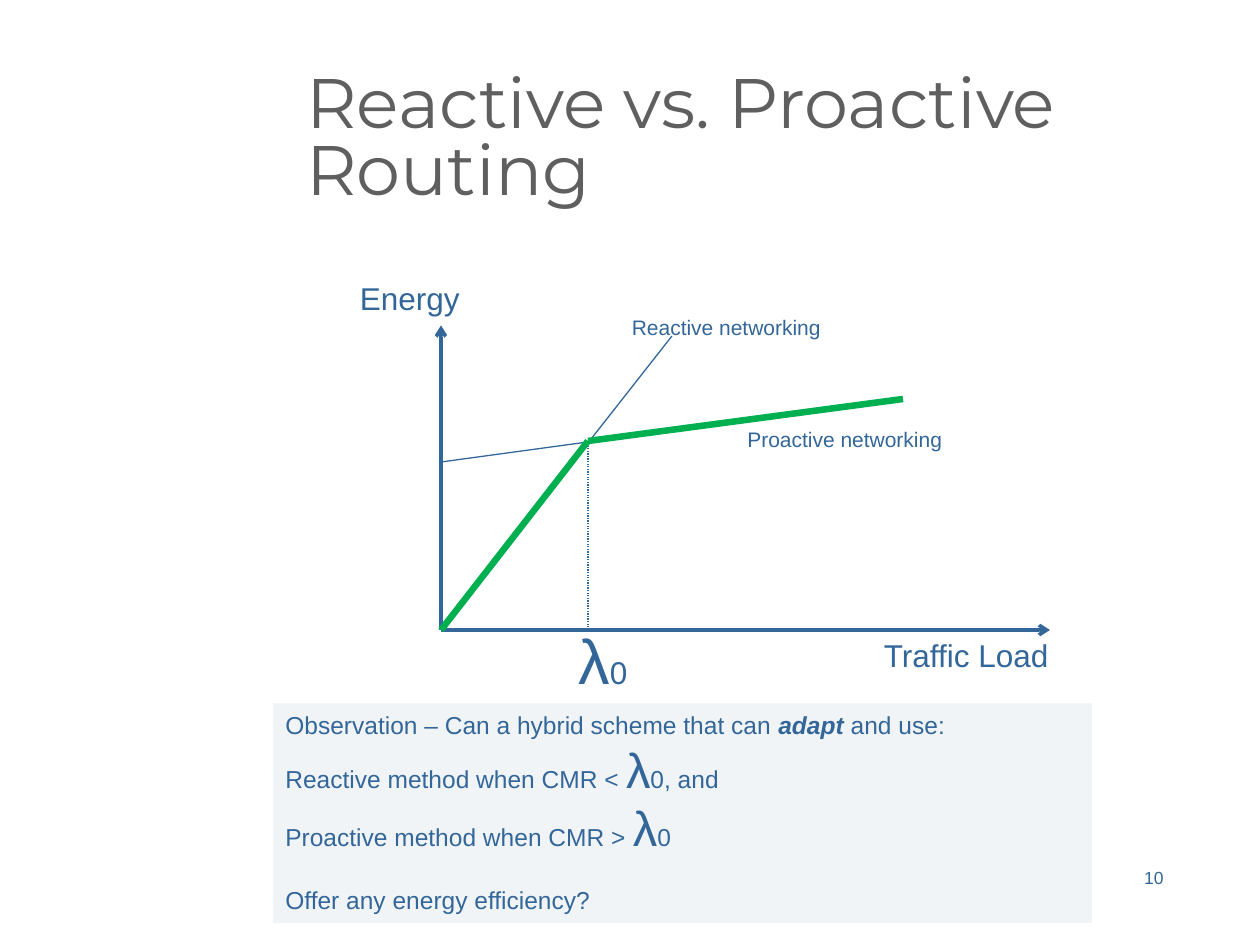
from dataclasses import dataclass
from typing import NamedTuple, Optional

from lxml import etree
from pptx import Presentation
from pptx.dml.color import RGBColor
from pptx.enum.dml import MSO_LINE
from pptx.enum.shapes import MSO_CONNECTOR, MSO_SHAPE
from pptx.enum.text import MSO_ANCHOR, PP_ALIGN
from pptx.oxml.ns import qn
from pptx.util import Inches, Pt

STRAIGHT = MSO_CONNECTOR.STRAIGHT
RECTANGLE = MSO_SHAPE.RECTANGLE
DOTTED = MSO_LINE.ROUND_DOT
LEFT, RIGHT = PP_ALIGN.LEFT, PP_ALIGN.RIGHT
TOP, MIDDLE = MSO_ANCHOR.TOP, MSO_ANCHOR.MIDDLE

COLUMNS, ROWS = 120, 90
BLANK_LAYOUT = 6


@dataclass(frozen=True)
class Theme:
    ink: str = "336699"
    title_ink: str = "5F5F5F"
    accent: str = "00B050"
    panel: str = "F0F4F7"
    body_font: str = "Arial"
    title_font: str = "Montserrat"
    title: int = 40
    symbol: int = 36
    panel_symbol: int = 28
    axis: int = 18
    panel_text: int = 14
    label: int = 12
    page: int = 10
    axis_width: float = 2
    curve_width: float = 0.75
    hybrid_width: float = 3.75


THEME = Theme()


class Point(NamedTuple):
    column: float
    row: float


class Box(NamedTuple):
    column: float
    row: float
    columns: float
    rows: float


class Run(NamedTuple):
    text: str
    size: int
    emphasis: bool = False
    color: str = THEME.ink
    font: str = THEME.body_font


class Line(NamedTuple):
    runs: list[Run]
    space_before: float = 0
    spacing: float = 1


@dataclass(frozen=True)
class TextBlock:
    box: Box
    lines: list[Line]
    wrap: bool = True
    align: PP_ALIGN = LEFT
    anchor: MSO_ANCHOR = TOP
    fill: Optional[str] = None


@dataclass(frozen=True)
class Segment:
    start: Point
    end: Point
    width: float = THEME.curve_width
    color: str = THEME.ink
    dash: Optional[MSO_LINE] = None
    arrow: bool = False


ORIGIN = Point(42, 60)
CROSSING = Point(56, 42)
PROACTIVE_END = Point(86, 38)

SEGMENTS = [
    Segment(ORIGIN, Point(100, ORIGIN.row), THEME.axis_width, arrow=True),
    Segment(ORIGIN, Point(ORIGIN.column, 31), THEME.axis_width, arrow=True),
    Segment(ORIGIN, Point(64, 32)),
    Segment(Point(ORIGIN.column, 44), PROACTIVE_END),
    Segment(Point(CROSSING.column, ORIGIN.row), CROSSING, dash=DOTTED),
    Segment(ORIGIN, CROSSING, THEME.hybrid_width, THEME.accent),
    Segment(CROSSING, PROACTIVE_END, THEME.hybrid_width, THEME.accent),
]


def threshold_line(before: str, after: str) -> Line:
    return Line([
        Run(before, THEME.panel_text),
        Run("λ", THEME.panel_symbol),
        Run(after, THEME.panel_text),
    ])


def single(text: str, size: int) -> list[Line]:
    return [Line([Run(text, size)])]


TITLE_RUN = Run("Reactive vs. Proactive Routing", THEME.title,
                color=THEME.title_ink, font=THEME.title_font)
OBSERVATION = [
    Line([
        Run("Observation – Can a hybrid scheme that can ", THEME.panel_text),
        Run("adapt", THEME.panel_text, emphasis=True),
        Run(" and use:", THEME.panel_text),
    ]),
    threshold_line("Reactive method when CMR < ", "0, and"),
    threshold_line("Proactive method when CMR > ", "0"),
    Line([Run("Offer any energy efficiency?", THEME.panel_text)], space_before=16),
]

TEXT_BLOCKS = [
    TextBlock(Box(28, 4, 84, 19), [Line([TITLE_RUN], spacing=0.8)], anchor=MIDDLE),
    TextBlock(Box(95, 82, 17, 6), single("10", THEME.page), align=RIGHT),
    TextBlock(Box(33.1, 26, 11.9, 4.8), single("Energy", THEME.axis), wrap=False),
    TextBlock(Box(83, 60, 18.2, 4.8), single("Traffic Load", THEME.axis), wrap=False),
    TextBlock(Box(53.9, 58.6, 7.1, 8.4),
              [Line([Run("λ", THEME.symbol), Run("0", THEME.axis)])], wrap=False),
    TextBlock(Box(59, 29.4, 37, 3.6), single("Reactive networking", THEME.label)),
    TextBlock(Box(70, 40, 37, 3.6), single("Proactive networking", THEME.label)),
    TextBlock(Box(26, 67, 78, 20.9), OBSERVATION, fill=THEME.panel),
]


def apply_format(target, values: dict) -> None:
    for name, value in values.items():
        setattr(target, name, value)


class Canvas:
    def __init__(self, presentation):
        self.shapes = presentation.slides.add_slide(
            presentation.slide_layouts[BLANK_LAYOUT]).shapes
        self.column = presentation.slide_width / COLUMNS
        self.row = presentation.slide_height / ROWS

    def place(self, lengths: tuple) -> list[int]:
        units = (self.column, self.row) * 2
        return [round(length * unit) for length, unit in zip(lengths, units)]

    def draw_segment(self, segment: Segment) -> None:
        connector = self.shapes.add_connector(
            STRAIGHT, *self.place(segment.start + segment.end))
        line = connector.line
        line.color.rgb = RGBColor.from_string(segment.color)
        apply_format(line, {"width": Pt(segment.width), "dash_style": segment.dash})
        if segment.arrow:
            etree.SubElement(line._get_or_add_ln(), qn("a:tailEnd"), type="arrow")
        etree.SubElement(connector._element.spPr, qn("a:effectLst"))

    def draw_text(self, block: TextBlock) -> None:
        bounds = self.place(block.box)
        if block.fill:
            shape = self.shapes.add_shape(RECTANGLE, *bounds)
            shape.shadow.inherit = False
            shape.fill.solid()
            shape.fill.fore_color.rgb = RGBColor.from_string(block.fill)
            shape.line.fill.background()
        else:
            shape = self.shapes.add_textbox(*bounds)
        frame = shape.text_frame
        apply_format(frame, {"word_wrap": block.wrap, "vertical_anchor": block.anchor})
        for index, line in enumerate(block.lines):
            paragraph = frame.add_paragraph() if index else frame.paragraphs[0]
            apply_format(paragraph, {
                "alignment": block.align,
                "line_spacing": line.spacing,
                "space_before": Pt(line.space_before),
            })
            for item in line.runs:
                run = paragraph.add_run()
                run.text = item.text
                apply_format(run.font, {
                    "name": item.font,
                    "size": Pt(item.size),
                    "bold": item.emphasis,
                    "italic": item.emphasis,
                })
                run.font.color.rgb = RGBColor.from_string(item.color)


def main() -> None:
    presentation = Presentation()
    apply_format(presentation, {"slide_width": Inches(10), "slide_height": Inches(7.5)})
    canvas = Canvas(presentation)
    for block in TEXT_BLOCKS:
        canvas.draw_text(block)
    for segment in SEGMENTS:
        canvas.draw_segment(segment)
    presentation.save("out.pptx")


if __name__ == "__main__":
    main()
